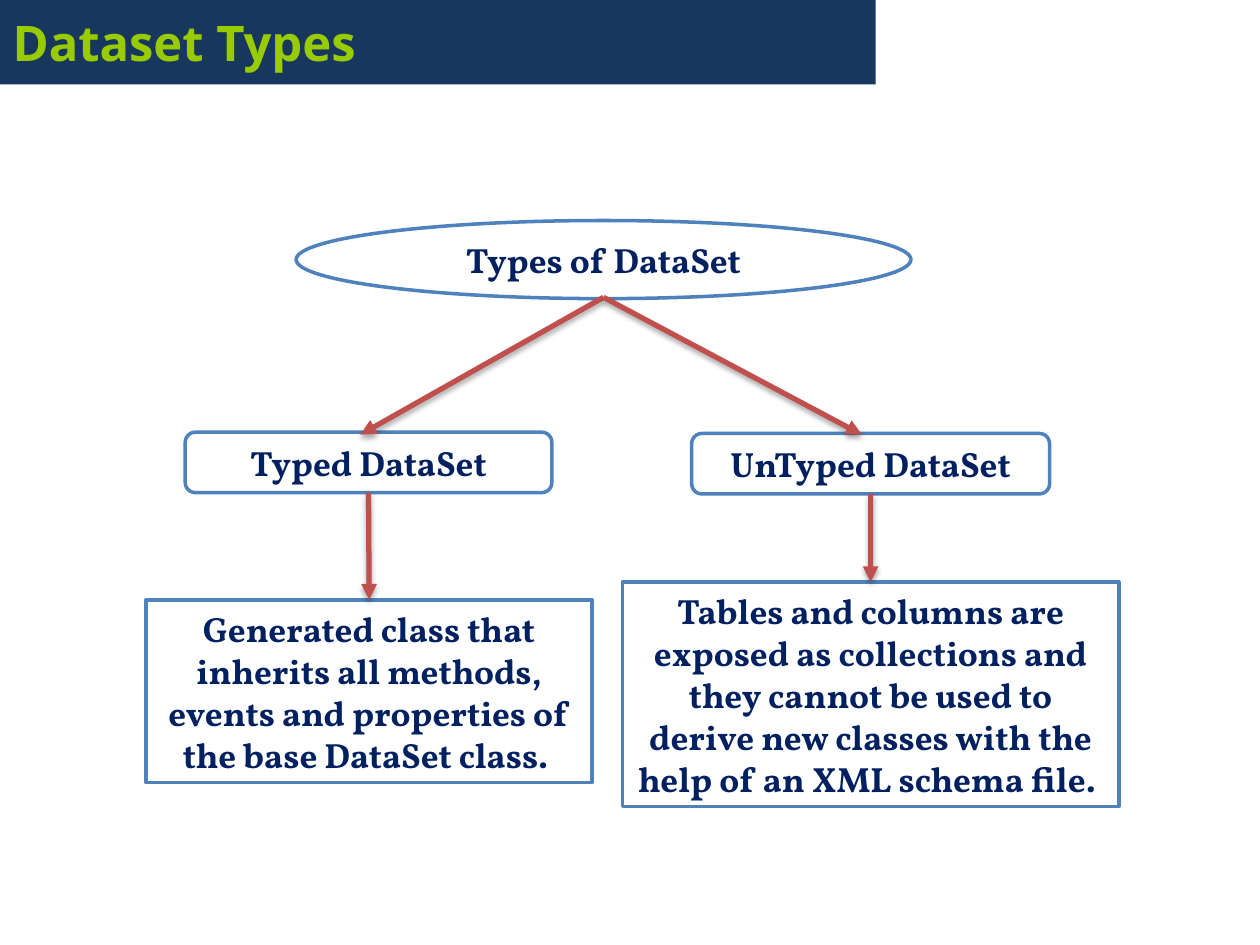
"""Build the Dataset Types slide: a tree of typed and untyped datasets."""
from dataclasses import dataclass

from lxml import etree
from pptx import Presentation
from pptx.dml.color import RGBColor
from pptx.enum import shapes, text
from pptx.oxml import ns, parse_xml
from pptx.util import Inches, Pt


@dataclass(frozen=True)
class Theme:
    banner: RGBColor = RGBColor.from_string("17375E")
    title: RGBColor = RGBColor.from_string("99CC00")
    node_fill: RGBColor = RGBColor.from_string("FFFFFF")
    node_line: RGBColor = RGBColor.from_string("4F81BD")
    node_text: RGBColor = RGBColor.from_string("002060")
    arrow: RGBColor = RGBColor.from_string("C0504D")
    title_font: str = "Open Sans"
    node_font: str = "Vollkorn"
    title_size: Pt = Pt(28)
    node_size: Pt = Pt(20)
    node_width: Pt = Pt(2)
    arrow_width: Pt = Pt(3)


theme = Theme()
SHADOW = f"""<a:effectLst {ns.nsdecls("a")}>
<a:outerShdw blurRad="40000" dist="23000" dir="5400000" rotWithShape="0">
<a:srgbClr val="000000"><a:alpha val="35000"/></a:srgbClr>
</a:outerShdw></a:effectLst>"""


def write(shape, wording, font_name, size, color, alignment):
    frame = shape.text_frame
    frame.text = wording
    frame.word_wrap = True
    frame.vertical_anchor = text.MSO_ANCHOR.MIDDLE
    paragraph = frame.paragraphs[0]
    paragraph.alignment = alignment
    paragraph.font.name = font_name
    paragraph.font.size = size
    paragraph.font.bold = True
    paragraph.font.color.rgb = color


presentation = Presentation()
presentation.slide_width = Inches(10)
presentation.slide_height = Inches(7.5)
slide = presentation.slides.add_slide(presentation.slide_layouts[5])

title = slide.shapes.title
title.left, title.top = Inches(0), Inches(0)
title.width, title.height = Inches(6.95), Inches(0.67)
title.fill.solid()
title.fill.fore_color.rgb = theme.banner
write(title, "Dataset Types", theme.title_font, theme.title_size, theme.title,
      text.PP_ALIGN.LEFT)

KIND = shapes.MSO_SHAPE
node_specs = {
    "root": (KIND.OVAL, 2.35, 1.75, 4.88, 0.62, "Types of DataSet"),
    "typed": (KIND.ROUNDED_RECTANGLE, 1.47, 3.43, 2.91, 0.48, "Typed DataSet"),
    "untyped": (KIND.ROUNDED_RECTANGLE, 5.49, 3.44, 2.84, 0.48, "UnTyped DataSet"),
    "typed note": (KIND.RECTANGLE, 1.16, 4.76, 3.54, 1.45,
                   "Generated class that inherits all methods, events and "
                   "properties of the base DataSet class. "),
    "untyped note": (KIND.RECTANGLE, 4.94, 4.62, 3.94, 1.78,
                     "Tables and columns are exposed as collections and they "
                     "cannot be used to derive new classes with the help of "
                     "an XML schema file. "),
}
nodes = {}
for name, (kind, left, top, width, height, wording) in node_specs.items():
    node = slide.shapes.add_shape(
        kind, Inches(left), Inches(top), Inches(width), Inches(height))
    node.shadow.inherit = False
    node.fill.solid()
    node.fill.fore_color.rgb = theme.node_fill
    node.line.color.rgb = theme.node_line
    node.line.width = theme.node_width
    write(node, wording, theme.node_font, theme.node_size, theme.node_text,
          text.PP_ALIGN.CENTER)
    node.text_frame.auto_size = text.MSO_AUTO_SIZE.SHAPE_TO_FIT_TEXT
    nodes[name] = node

arrows = []
for end_x in (2.86, 6.84):
    arrows.append(slide.shapes.add_connector(
        shapes.MSO_CONNECTOR.STRAIGHT,
        Inches(4.79), Inches(2.36), Inches(end_x), Inches(3.45)))
for name in ("typed", "untyped"):
    arrow = slide.shapes.add_connector(shapes.MSO_CONNECTOR.STRAIGHT, 0, 0, 0, 0)
    arrow.begin_connect(nodes[name], 2)
    arrow.end_connect(nodes[f"{name} note"], 0)
    arrows.append(arrow)

for arrow in arrows:
    arrow.line.color.rgb = theme.arrow
    arrow.line.width = theme.arrow_width
    etree.SubElement(arrow.line._get_or_add_ln(), ns.qn("a:tailEnd"), type="triangle")
    arrow._element.spPr.append(parse_xml(SHADOW))

presentation.save("out.pptx")
